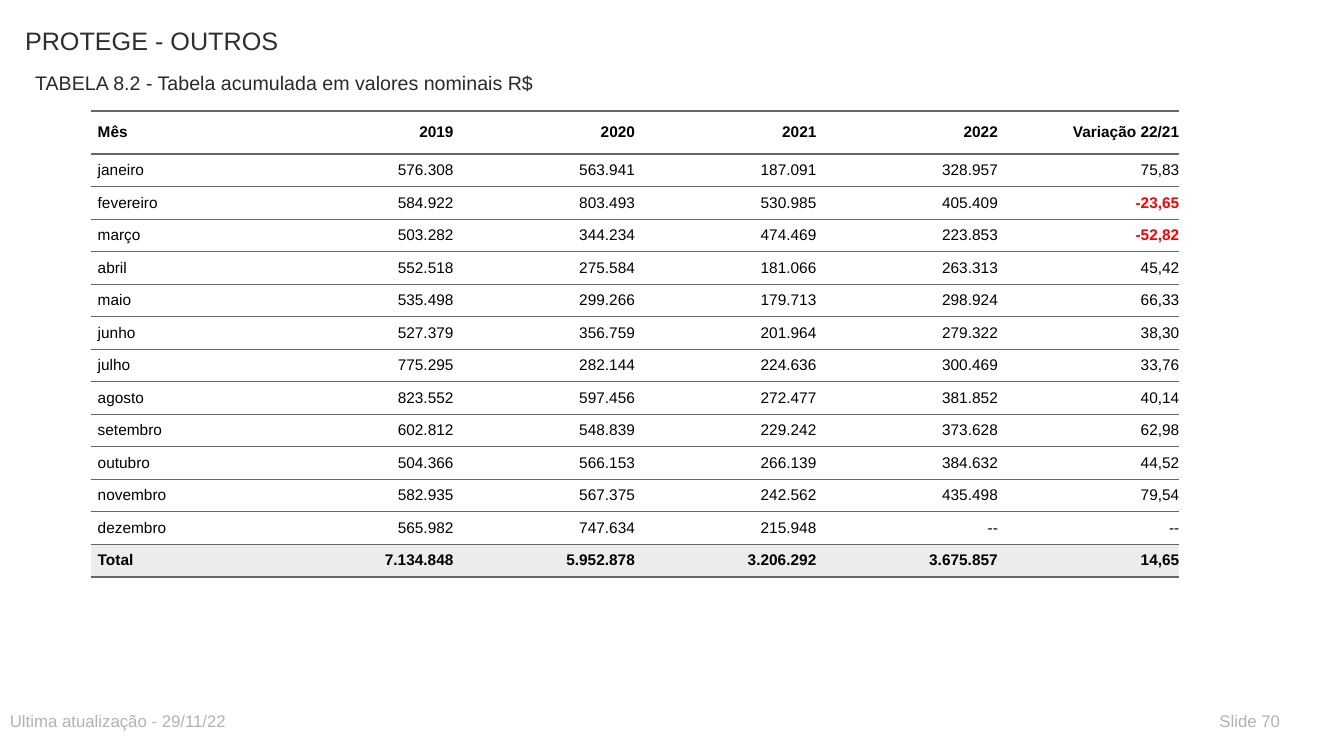
from dataclasses import dataclass

from lxml import etree
from pptx import Presentation
from pptx.dml.color import RGBColor
from pptx.enum.text import MSO_ANCHOR, PP_ALIGN
from pptx.oxml.ns import qn
from pptx.util import Pt

LEFT, RIGHT = PP_ALIGN.LEFT, PP_ALIGN.RIGHT
MIDDLE = MSO_ANCHOR.MIDDLE
NO_GRID_STYLE = "{2D5ABB26-0587-4C30-8999-92F81FD0307C}"


@dataclass(frozen=True)
class Theme:
    """Colours, type sizes and line widths of the slide."""
    font: str = "Arial"
    title: str = "2D2E2D"
    subtitle: str = "292929"
    footer: str = "B2B2B2"
    text: str = "000000"
    negative: str = "FF0000"
    rule: str = "666666"
    body_fill: str = "FFFFFF"
    total_fill: str = "ECECEC"
    title_size: float = 18
    subtitle_size: float = 14
    footer_size: float = 12
    table_size: float = 11
    thin: float = 0.5
    thick: float = 2


THEME = Theme()

ROWS = [
    ("Mês", "2019", "2020", "2021", "2022", "Variação 22/21"),
    ("janeiro", "576.308", "563.941", "187.091", "328.957", "75,83"),
    ("fevereiro", "584.922", "803.493", "530.985", "405.409", "-23,65"),
    ("março", "503.282", "344.234", "474.469", "223.853", "-52,82"),
    ("abril", "552.518", "275.584", "181.066", "263.313", "45,42"),
    ("maio", "535.498", "299.266", "179.713", "298.924", "66,33"),
    ("junho", "527.379", "356.759", "201.964", "279.322", "38,30"),
    ("julho", "775.295", "282.144", "224.636", "300.469", "33,76"),
    ("agosto", "823.552", "597.456", "272.477", "381.852", "40,14"),
    ("setembro", "602.812", "548.839", "229.242", "373.628", "62,98"),
    ("outubro", "504.366", "566.153", "266.139", "384.632", "44,52"),
    ("novembro", "582.935", "567.375", "242.562", "435.498", "79,54"),
    ("dezembro", "565.982", "747.634", "215.948", "--", "--"),
    ("Total", "7.134.848", "5.952.878", "3.206.292", "3.675.857", "14,65"),
]


def style_paragraph(paragraph, size, color, bold=False, align=LEFT):
    """Align a paragraph and format its runs."""
    paragraph.alignment = align
    for run in paragraph.runs:
        run.font.name = THEME.font
        run.font.size = Pt(size)
        run.font.bold = bold
        run.font.color.rgb = RGBColor.from_string(color)


def add_label(slide, box, text, size, color):
    """Place one line of text in a box given in points."""
    shape = slide.shapes.add_textbox(*map(Pt, box))
    shape.text_frame.word_wrap = True
    shape.text_frame.text = text
    style_paragraph(shape.text_frame.paragraphs[0], size, color)


def add_border(cell, side, width):
    """Draw one horizontal rule on a cell, lnT above or lnB below."""
    line = etree.SubElement(cell._tc.get_or_add_tcPr(), qn(f"a:{side}"), w=str(Pt(width)))
    fill = etree.SubElement(line, qn("a:solidFill"))
    etree.SubElement(fill, qn("a:srgbClr"), val=THEME.rule)


def fill_cell(cell, text, row, column):
    """Write and format one table cell according to its place."""
    header, total = row == 0, row == len(ROWS) - 1
    negative = text.startswith("-") and text != "--"
    cell.margin_left = Pt(5) if column == 0 else 0
    cell.margin_right = 0
    cell.margin_top = cell.margin_bottom = Pt(5)
    cell.vertical_anchor = MIDDLE
    cell.text_frame.text = text
    style_paragraph(
        cell.text_frame.paragraphs[0],
        THEME.table_size,
        THEME.negative if negative else THEME.text,
        header or total or negative,
        RIGHT if column else LEFT,
    )
    if header or total:
        add_border(cell, "lnT", THEME.thick if header else THEME.thin)
    add_border(cell, "lnB", THEME.thick if header or total else THEME.thin)
    cell.fill.solid()
    cell.fill.fore_color.rgb = RGBColor.from_string(
        THEME.total_fill if total else THEME.body_fill)


def add_monthly_table(slide, box, header_height):
    """Build the monthly table with equal columns and equal body rows."""
    left, top, width, height = box
    table = slide.shapes.add_table(
        len(ROWS), len(ROWS[0]), Pt(left), Pt(top), Pt(width), Pt(height)).table
    table.horz_banding = False
    table._tbl.tblPr.find(qn("a:tableStyleId")).text = NO_GRID_STYLE
    body_height = (height - header_height) / (len(ROWS) - 1)
    for row, values in enumerate(ROWS):
        table.rows[row].height = Pt(body_height if row else header_height)
        for column, text in enumerate(values):
            fill_cell(table.cell(row, column), text, row, column)


def add_heading(slide, box):
    """Place the title and the table caption."""
    left, top, width, height = box
    add_label(slide, (left, top, width, height), "PROTEGE - OUTROS",
              THEME.title_size, THEME.title)
    add_label(slide, (left + 7.2, top + 32.4, 468, 21.6),
              "TABELA 8.2 - Tabela acumulada em valores nominais R$",
              THEME.subtitle_size, THEME.subtitle)


def add_footer(slide, box):
    """Place the update date on the left and the slide number on the right."""
    left, top, width, height = box
    number_width = 64.8
    add_label(slide, (left, top, 468, height), "Ultima atualização - 29/11/22",
              THEME.footer_size, THEME.footer)
    add_label(slide, (left + width - number_width, top, number_width, height),
              "Slide 70", THEME.footer_size, THEME.footer)


def main():
    """Build and save the presentation."""
    presentation = Presentation()
    presentation.slide_width, presentation.slide_height = Pt(960), Pt(540)
    slide = presentation.slides.add_slide(presentation.slide_layouts[6])
    add_heading(slide, (10.8, 14.4, 576, 42.5))
    add_monthly_table(slide, (64.8, 79.2, 777.6, 320.25), 31)
    add_footer(slide, (0, 504, 928.8, 21.6))
    presentation.save("out.pptx")


if __name__ == "__main__":
    main()
